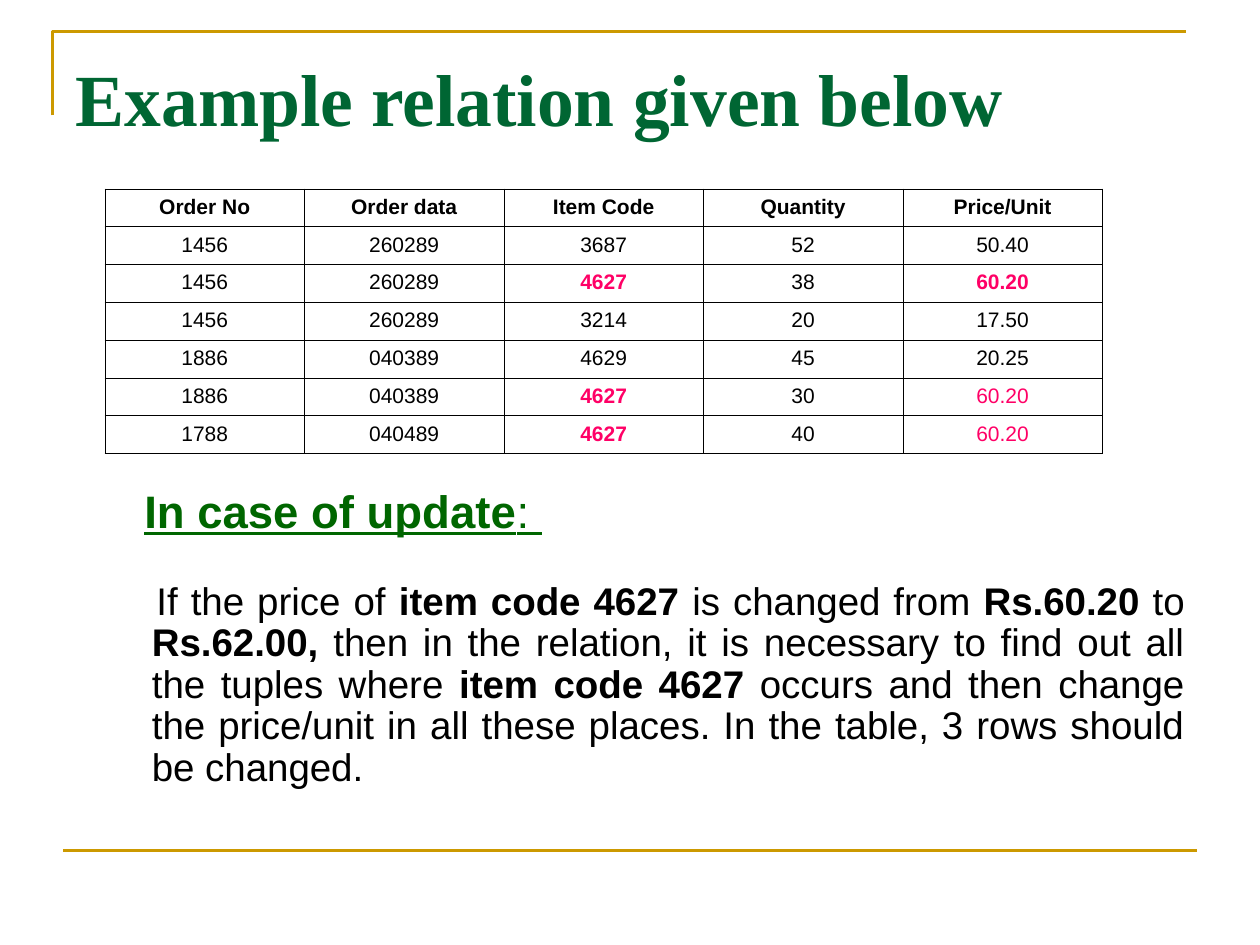
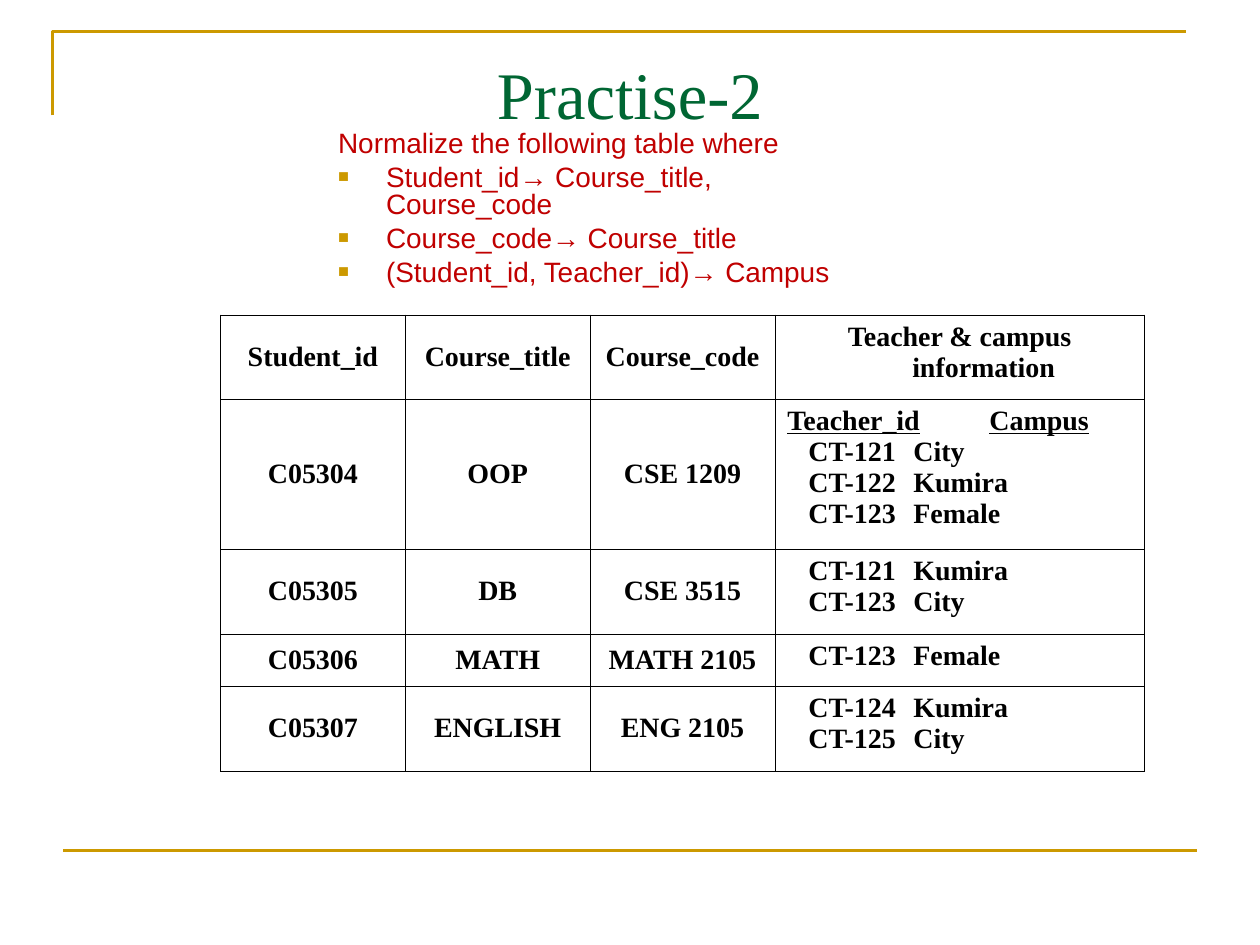
from lxml import etree
from pptx import Presentation
from pptx.dml.color import RGBColor
from pptx.enum.shapes import MSO_CONNECTOR
from pptx.enum.text import MSO_ANCHOR as ANCHOR, MSO_AUTO_SIZE, PP_ALIGN as ALIGN
from pptx.oxml.ns import qn
from pptx.util import Pt

COLOURS = {
    "gold": "CC9900", "title": "006633", "heading": "006600",
    "highlight": "FF0066", "list": "C00000", "black": "000000",
}
SANS, SERIF = "Arial", "Times New Roman"
HANGING = 27.4
FRAME_WIDTH = 1.5
BORDER_WIDTH = 0.45
TITLE_BOX = (36, 21.6, 648, 90)

ORDERS = [
    ["Order No", "Order data", "Item Code", "Quantity", "Price/Unit"],
    ["1456", "260289", "3687", "52", "50.40"],
    ["1456", "260289", "4627", "38", "60.20"],
    ["1456", "260289", "3214", "20", "17.50"],
    ["1886", "040389", "4629", "45", "20.25"],
    ["1886", "040389", "4627", "30", "60.20"],
    ["1788", "040489", "4627", "40", "60.20"],
]
BOLD_PRICE_ROW = 2

UPDATE_TEXT = [
    ("If the price of ", False), ("item code 4627", True),
    (" is changed from ", False), ("Rs.60.20 ", True), ("to ", False),
    ("Rs.62.00, ", True),
    ("then in the relation, it is necessary to find out all the tuples where ", False),
    ("item code 4627 ", True),
    ("occurs and then change the price/unit in all these places. "
     "In the table, 3 rows should be changed.", False),
]

DEPENDENCIES = [
    "Student_id→ Course_title, Course_code",
    "Course_code→ Course_title",
    "(Student_id, Teacher_id)→ Campus",
]

COURSE_HEADINGS = ["Student_id", "Course_title", "Course_code"]
COURSES = [
    (["C05304", "OOP", "CSE 1209"],
     [("CT-121", "City"), ("CT-122", "Kumira"), ("CT-123", "Female")]),
    (["C05305", "DB", "CSE 3515"], [("CT-121", "Kumira"), ("CT-123", "City")]),
    (["C05306", "MATH", "MATH 2105"], [("CT-123", "Female")]),
    (["C05307", "ENGLISH", "ENG 2105"], [("CT-124", "Kumira"), ("CT-125", "City")]),
]


def rgb(name):
    return RGBColor.from_string(COLOURS[name])


def points(*values):
    return [Pt(value) for value in values]


def set_all(target, values):
    for name, value in values.items():
        setattr(target, name, value)


def add_element(parent, tag, **attributes):
    return etree.SubElement(parent, qn(tag), attributes)


def add_run(paragraph, text, size, colour="black", font=SANS, **style):
    run = paragraph.add_run()
    run.text = text
    set_all(run.font, {"size": Pt(size), "name": font, "bold": False, **style})
    run.font.color.rgb = rgb(colour)


def set_indent(paragraph, left, first):
    properties = paragraph._p.get_or_add_pPr()
    properties.set("marL", str(Pt(left)))
    properties.set("indent", str(Pt(first)))
    return properties


def set_bullet(paragraph):
    properties = set_indent(paragraph, HANGING, -HANGING)
    colour = add_element(properties, "a:buClr")
    add_element(colour, "a:srgbClr", val=COLOURS["gold"])
    add_element(properties, "a:buSzPct", val="65000")
    add_element(properties, "a:buFont", typeface=SANS)
    add_element(properties, "a:buChar", char="■")


def set_tab(paragraph, position):
    tabs = add_element(paragraph._p.get_or_add_pPr(), "a:tabLst")
    add_element(tabs, "a:tab", pos=str(Pt(position)), algn="l")


def paragraphs_of(frame, count):
    """Return the frame's paragraphs after filling it up to count."""
    while len(frame.paragraphs) < count:
        frame.add_paragraph()
    return frame.paragraphs


def place(shape, box):
    set_all(shape, dict(zip(("left", "top", "width", "height"), points(*box))))


def style_frame_line(shape):
    shape.line.color.rgb = rgb("gold")
    shape.line.width = Pt(FRAME_WIDTH)


def add_frame(slide):
    """Draw the corner rule at the top and the rule at the foot."""
    builder = slide.shapes.build_freeform(*points(30, 66))
    builder.add_line_segments([points(30, 18), points(678, 18)], close=False)
    corner = builder.convert_to_shape()
    corner.shadow.inherit = False
    corner.fill.background()
    style_frame_line(corner)
    foot = slide.shapes.add_connector(MSO_CONNECTOR.STRAIGHT, *points(36, 486, 684, 486))
    style_frame_line(foot)
    add_element(foot._element.spPr, "a:effectLst")


def add_title(slide, text, size, alignment, bold):
    title = slide.shapes.title
    place(title, TITLE_BOX)
    set_all(title.text_frame, {
        "vertical_anchor": ANCHOR.TOP, "margin_top": Pt(8.6),
        "auto_size": MSO_AUTO_SIZE.NONE, "word_wrap": True,
    })
    paragraph = title.text_frame.paragraphs[0]
    paragraph.alignment = alignment
    add_run(paragraph, text, size, "title", SERIF, bold=bold)


def new_slide(presentation, layout, text, size, alignment, bold=False):
    slide = presentation.slides.add_slide(presentation.slide_layouts.get_by_name(layout))
    add_frame(slide)
    add_title(slide, text, size, alignment, bold)
    return slide


def set_borders(cell):
    properties = cell._tc.get_or_add_tcPr()
    for position, side in enumerate(("a:lnL", "a:lnR", "a:lnT", "a:lnB")):
        border = etree.Element(qn(side), w=str(Pt(BORDER_WIDTH)))
        fill = add_element(border, "a:solidFill")
        add_element(fill, "a:srgbClr", val=COLOURS["black"])
        properties.insert(position, border)


def add_grid(slide, left, top, widths, heights):
    """Add an unfilled table with thin black borders."""
    box = points(left, top, sum(widths), sum(heights))
    table = slide.shapes.add_table(len(heights), len(widths), *box).table
    set_all(table, {"first_row": False, "horz_banding": False})
    for column, width in zip(table.columns, widths):
        column.width = Pt(width)
    for row, height in zip(table.rows, heights):
        row.height = Pt(height)
    for cell in table.iter_cells():
        cell.fill.background()
        set_borders(cell)
    return table


def fill_centred(cell, text, size, **style):
    paragraph = cell.text_frame.paragraphs[0]
    paragraph.alignment = ALIGN.CENTER
    add_run(paragraph, text, size, **style)
    return paragraph


def add_orders_table(slide):
    table = add_grid(slide, 60, 108, [114] * 5, [21.6] * len(ORDERS))
    for row, values in enumerate(ORDERS):
        for column, value in enumerate(values):
            highlighted = value in ("4627", "60.20")
            bold = (row == 0 or value == "4627"
                    or value == "60.20" and row == BOLD_PRICE_ROW)
            fill_centred(table.cell(row, column), value, 12, bold=bold,
                         colour="highlight" if highlighted else "black")


def add_update_note(slide):
    frame = slide.shapes.add_textbox(*points(48, 276, 636, 206.6)).text_frame
    frame.word_wrap = True
    heading, body = paragraphs_of(frame, 2)
    set_indent(heading, HANGING, 0)
    set_indent(body, 31.7, 2.6)
    for paragraph in (heading, body):
        set_all(paragraph, {"line_spacing": 0.9, "alignment": ALIGN.JUSTIFY})
    body.space_before = Pt(25)
    add_run(heading, "In case of update", 26, "heading", bold=True, underline=True)
    add_run(heading, ": ", 26, "heading", underline=True)
    for text, bold in UPDATE_TEXT:
        add_run(body, text, 22, bold=bold)


def add_dependencies(slide):
    body = slide.placeholders[1]
    place(body, (186, 72, 318, 150))
    set_all(body.text_frame, {"auto_size": MSO_AUTO_SIZE.NONE,
                              "vertical_anchor": ANCHOR.TOP})
    lines = ["Normalize the following table where", *DEPENDENCIES]
    paragraphs = paragraphs_of(body.text_frame, len(lines))
    for index, (paragraph, text) in enumerate(zip(paragraphs, lines)):
        if index:
            set_bullet(paragraph)
        else:
            add_element(set_indent(paragraph, 0, 0), "a:buNone")
        set_all(paragraph, {"line_spacing": 0.8, "space_before": Pt(4 if index else 0)})
        add_run(paragraph, text, 16, "list")


def fill_teachers(cell, teachers, with_heading):
    paragraphs = list(paragraphs_of(cell.text_frame, len(teachers) + with_heading))
    serif_bold = {"size": 16, "font": SERIF, "bold": True}
    if with_heading:
        heading = paragraphs.pop(0)
        set_tab(heading, 115.4)
        add_run(heading, "Teacher_id", underline=True, **serif_bold)
        add_run(heading, "\t", **serif_bold)
        add_run(heading, "Campus", underline=True, **serif_bold)
    for paragraph, pair in zip(paragraphs, teachers):
        set_indent(paragraph, 0, 12)
        set_tab(paragraph, 126)
        add_run(paragraph, "\t".join(pair), **serif_bold)


def add_courses_table(slide):
    table = add_grid(slide, 126, 180, [105.6] * 3 + [211.2],
                     [48, 85.7, 48.6, 29.7, 48.6])
    rows = [COURSE_HEADINGS, *(course for course, _ in COURSES)]
    for row, values in enumerate(rows):
        for column, value in enumerate(values):
            cell = table.cell(row, column)
            cell.vertical_anchor = ANCHOR.MIDDLE
            fill_centred(cell, value, 16, font=SERIF, bold=True)
    heading = fill_centred(table.cell(0, 3), "Teacher & campus information", 16,
                           font=SERIF, bold=True)
    set_indent(heading, HANGING, -HANGING)
    for row, (_, teachers) in enumerate(COURSES, start=1):
        fill_teachers(table.cell(row, 3), teachers, with_heading=row == 1)


def main():
    presentation = Presentation()
    set_all(presentation, {"slide_width": Pt(720), "slide_height": Pt(540)})

    relation = new_slide(presentation, "Title Only", "Example relation given below",
                         42, ALIGN.LEFT, bold=True)
    add_orders_table(relation)
    add_update_note(relation)

    practice = new_slide(presentation, "Title and Content", "Practise-2", 38, ALIGN.CENTER)
    add_dependencies(practice)
    add_courses_table(practice)

    presentation.save("out.pptx")


if __name__ == "__main__":
    main()
